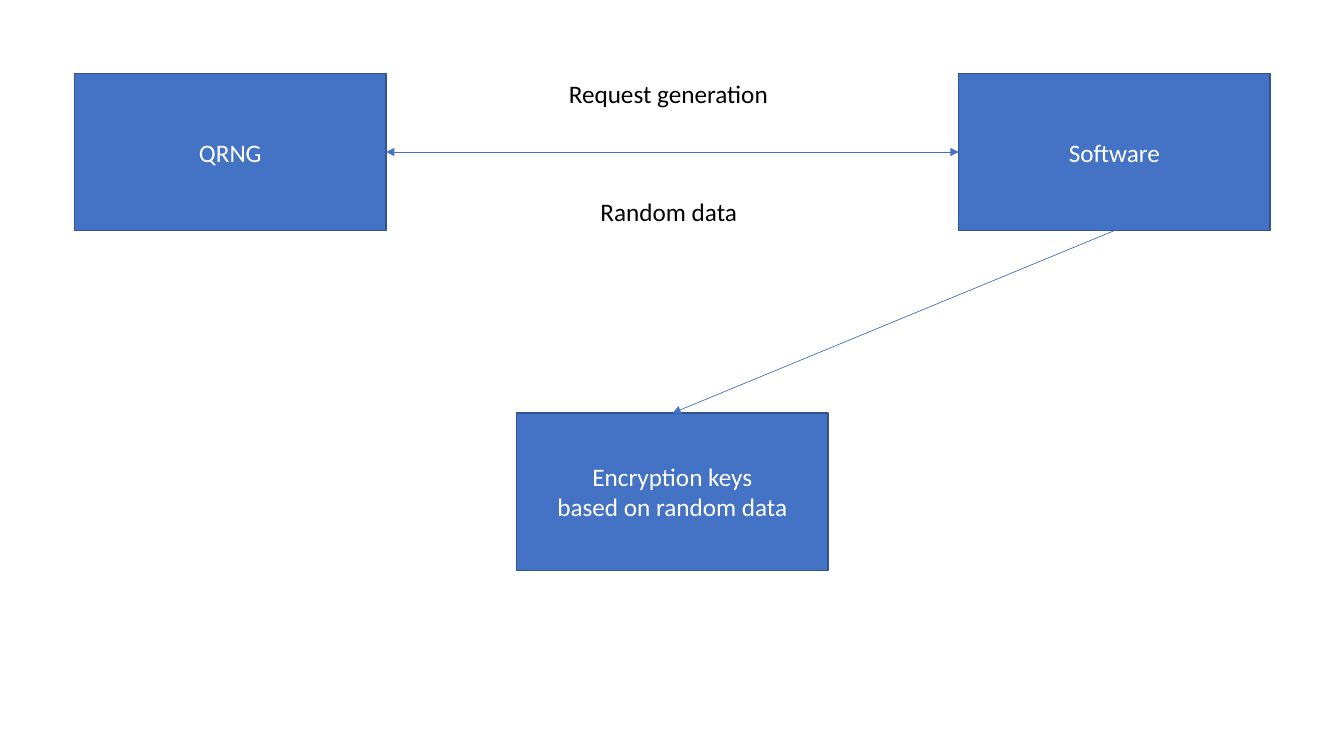
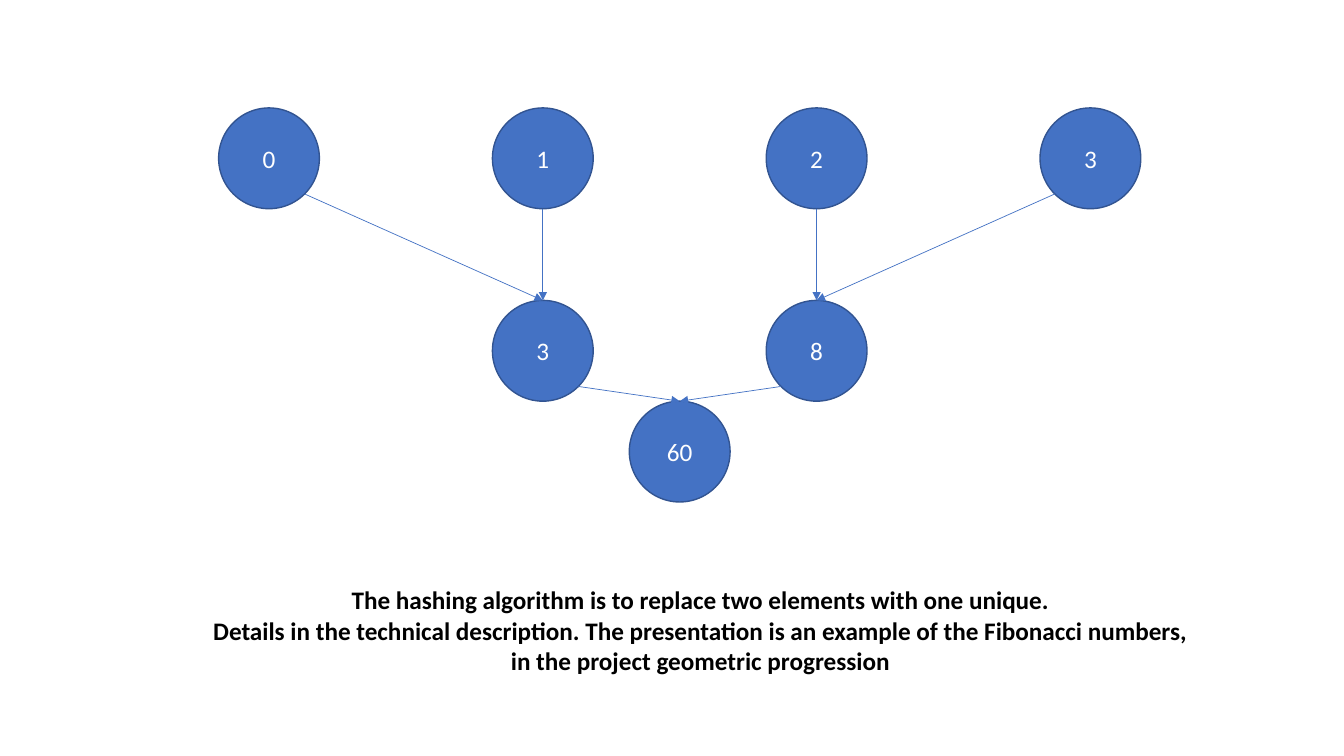
from lxml.etree import SubElement
from pptx import Presentation
from pptx.dml.color import RGBColor
from pptx.enum.shapes import MSO_CONNECTOR, MSO_SHAPE
from pptx.enum.text import MSO_ANCHOR, PP_ALIGN
from pptx.oxml.ns import qn
from pptx.util import Cm, Pt

BLUE = RGBColor(0x44, 0x72, 0xC4)
NAVY = RGBColor(0x32, 0x54, 0x91)
WHITE = RGBColor(0xFF, 0xFF, 0xFF)
BLACK = RGBColor(0, 0, 0)
FONT = "Calibri"

BOXES = [
    (["QRNG"], 0, 1.85),
    (["Software"], 2, 1.85),
    (["Encryption keys", "based on random data"], 1, 10.41),
]
LABELS = [
    (["Request generation"], 14.05, 1.85, 5.59),
    (["Random data"], 14.86, 4.83, 3.99),
]
NODES = [
    ("0", 0, 2.72), ("1", 1, 2.72), ("2", 2, 2.72), ("3", 3, 2.72),
    ("3", 1, 7.57), ("8", 2, 7.57), ("60", 1.5, 10.11),
]
EDGES = [(1, 4), (0, 4), (2, 5), (3, 5), (4, 6), (5, 6)]
NOTE = [
    "The hashing algorithm is to replace two elements with one unique.",
    "Details in the technical description. The presentation is an example of the Fibonacci numbers,",
    "in the project geometric progression",
]

BOX_X, BOX_STEP, BOX_W, BOX_H = 1.88, 11.14, 7.85, 3.96
NODE_X, NODE_STEP, NODE_D = 5.51, 6.9, 2.54
DIAG = 0.5 ** 0.5 / 2
TOP, LEFT, BOTTOM, RIGHT = range(4)


def write(shape, lines, color=WHITE, bold=False, anchor=MSO_ANCHOR.MIDDLE, wrap=True):
    frame = shape.text_frame
    frame.word_wrap = wrap
    frame.vertical_anchor = anchor
    frame.text = "\n".join(lines)
    for para in frame.paragraphs:
        para.alignment = PP_ALIGN.CENTER
        font = para.runs[0].font
        font.name, font.size, font.bold = FONT, Pt(18), bold
        font.color.rgb = color


def block(slide, kind, lines, x, y, w, h):
    shape = slide.shapes.add_shape(kind, Cm(x), Cm(y), Cm(w), Cm(h))
    shape.shadow.inherit = False
    shape.fill.solid()
    shape.fill.fore_color.rgb = BLUE
    shape.line.color.rgb = NAVY
    shape.line.width = Pt(1)
    write(shape, lines)
    return shape


def label(slide, lines, x, y, w, h=1.02, bold=False):
    box = slide.shapes.add_textbox(Cm(x), Cm(y), Cm(w), Cm(h))
    write(box, lines, color=BLACK, bold=bold, anchor=MSO_ANCHOR.TOP, wrap=False)


def wire(slide, start=(0, 0), end=(0, 0), ends=("tailEnd",)):
    line = slide.shapes.add_connector(MSO_CONNECTOR.STRAIGHT, *start, *end)
    line.line.color.rgb = BLUE
    line.line.width = Pt(0.5)
    props = line.element.spPr
    for end_tag in ends:
        SubElement(props.find(qn("a:ln")), qn("a:" + end_tag), type="triangle")
    SubElement(props, qn("a:effectLst"))
    return line


def glue(slide, first, out, last, into, **style):
    line = wire(slide, **style)
    line.begin_connect(first, out)
    line.end_connect(last, into)


def point(shape, across, down):
    return (int(shape.left + shape.width * across),
            int(shape.top + shape.height * down))


def flow(slide):
    qrng, soft, keys = [
        block(slide, MSO_SHAPE.RECTANGLE, lines, BOX_X + col * BOX_STEP, y, BOX_W, BOX_H)
        for lines, col, y in BOXES
    ]
    glue(slide, qrng, RIGHT, soft, LEFT, ends=("headEnd", "tailEnd"))
    glue(slide, soft, BOTTOM, keys, TOP)
    for item in LABELS:
        label(slide, *item)


def tree(slide):
    nodes = [
        block(slide, MSO_SHAPE.OVAL, [text], NODE_X + col * NODE_STEP, y, NODE_D, NODE_D)
        for text, col, y in NODES
    ]
    for src, dst in EDGES:
        gap = NODES[dst][1] - NODES[src][1]
        if gap:
            side = DIAG if gap > 0 else -DIAG
            start = point(nodes[src], 0.5 + side, 0.5 + DIAG)
        else:
            start = point(nodes[src], 0.5, 1)
        wire(slide, start, point(nodes[dst], 0.5, 0))
    label(slide, NOTE, 5.03, 14.61, 25.25, h=2.57, bold=True)


def main():
    deck = Presentation()
    deck.slide_width, deck.slide_height = Cm(33.87), Cm(19.05)
    for draw in (flow, tree):
        draw(deck.slides.add_slide(deck.slide_layouts[6]))
    deck.save("out.pptx")


if __name__ == "__main__":
    main()
